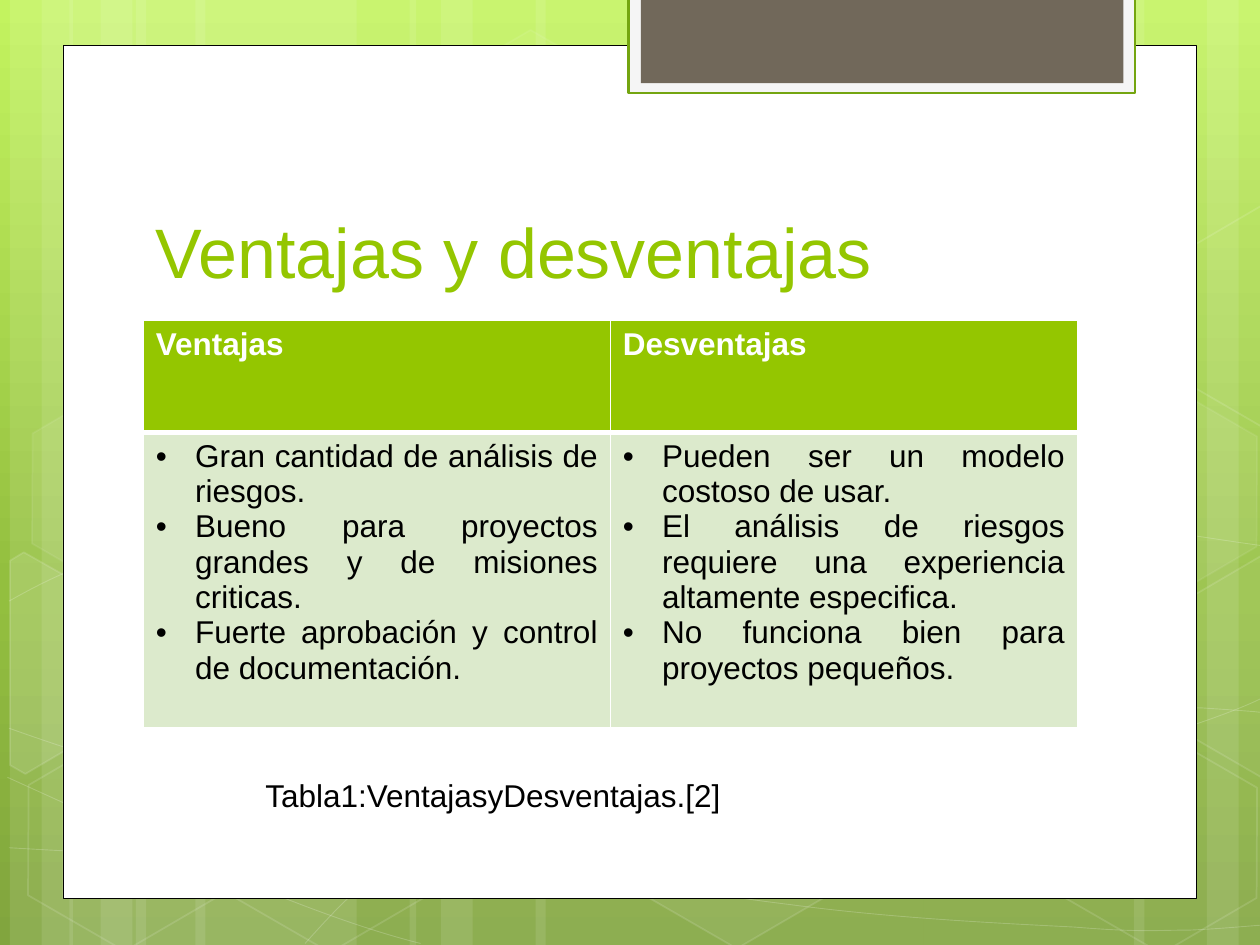
"""Build the slide with the table of advantages and disadvantages."""
from copy import deepcopy
from math import cos, radians, sin

from lxml import etree
from pptx import Presentation
from pptx import util as u
from pptx.dml.color import RGBColor
from pptx.enum import shapes, text
from pptx.oxml.ns import qn

COLORS = {"white": "FFFFFF", "black": "000000", "green": "94C600", "pale": "DCEACC",
          "edge": "74A510", "frame": "F5F5F5", "brown": "71685A"}
BACKGROUND = [(0, "C3F35F"), (0.62, "93BF3F"), (1, "81A53E")]

TITLE = "Ventajas y desventajas"
CAPTION = "Tabla1:VentajasyDesventajas.[2]"
COLUMNS = {
    "Ventajas": ["Gran cantidad de análisis de riesgos.",
                 "Bueno para proyectos grandes y de misiones criticas.",
                 "Fuerte aprobación y control de documentación."],
    "Desventajas": ["Pueden ser un modelo costoso de usar.",
                    "El análisis de riesgos requiere una experiencia altamente especifica.",
                    "No funciona bien para proyectos pequeños."],
}
ROW_HEIGHTS = [2.26, 5.95]
HEADING = {"size": u.Pt(18), "name": "Arial", "bold": True}
BODY = {"size": u.Pt(18), "name": "Arial", "bold": False}
TITLE_FONT = {"size": u.Pt(40), "name": "Arial", "bold": False}

BANDS = [(2.74, 4.45), (0.2, 1.27), (0.84, 2.11), (3.94, 4.45), (1.4, 1.27), (2.03, 2.11),
         (18.62, 4.45), (24.33, 1.27), (22.86, 2.11), (10.8, 7.82), (8.26, 1.27), (8.89, 2.11)]
CURVES = [
    [(0.18, 17.09), (1.55, 17.17), (2.92, 17.25), (4.83, 17.22), (6.73, 17.2), (9.09, 17.15),
     (11.63, 16.89), (14.17, 16.64), (17.78, 16.15), (20.12, 15.67), (22.43, 15.19),
     (24.82, 14.43), (25.58, 14)],
    [(0.18, 12.12), (0.91, 11.71), (1.65, 11.33), (3.07, 10.95), (4.52, 10.57), (6.58, 10.01),
     (8.81, 9.83), (11.07, 9.65), (13.82, 9.63), (16.61, 9.83), (19.41, 10.03),
     (24.05, 10.82), (25.58, 11.02)],
    [(0.15, 15.67), (3.23, 17.07), (6.27, 18.47), (8.48, 19.02)],
    [(0.18, 14.68), (0.97, 14.96), (1.78, 15.24), (3.25, 15.65), (4.72, 16.03), (6.93, 16.66),
     (9.07, 17.09), (11.18, 17.53), (13.84, 17.98), (15.95, 18.24), (18.06, 18.52),
     (20.32, 18.62), (21.67, 18.69), (22.99, 18.8), (23.34, 18.75), (24, 18.75),
     (24.66, 18.72), (25.12, 18.67), (25.58, 18.64)],
    [(6.15, 19.02), (6.6, 18.52), (7.06, 18.01), (7.67, 17.55), (8.28, 17.09), (9.14, 16.59),
     (9.86, 16.23), (10.57, 15.88), (11, 15.72), (11.94, 15.47), (12.85, 15.21),
     (14.55, 14.86), (15.44, 14.68), (16.36, 14.5), (16.48, 14.5), (17.27, 14.45),
     (18.06, 14.38), (19.3, 14.3), (20.17, 14.27), (21.06, 14.25), (22.5, 14.27),
     (22.5, 14.27), (23.07, 14.27), (23.64, 14.27), (24.21, 14.27), (24.66, 14.3),
     (25.1, 14.33), (25.32, 14.35), (25.55, 14.38), (25.48, 14.35), (25.55, 14.38)],
]
TILT = 30
HEXAGONS = [(8.48, 0.91, 4, 8), (12.62, 14.96, 6, 12), (0.28, 15.01, 0, 12),
            (0.36, 7.92, 7, 8), (4.42, 15.04, 0, 12), (19.13, 11.51, 10, 12),
            (21.18, 15.06, 0, 12), (21.18, 7.98, 7, 8)]
CUT_HEXAGONS = [
    ((0.91, 13.59), 10, [(0.2, 11.3), (0.48, 11.13), (2.44, 12.24), (2.41, 14.48),
                         (0.51, 15.6), (0.2, 15.42)]),
    ((25.02, 13.21), 4, [(23.52, 12.32), (25.43, 11.2), (25.63, 11.33), (25.63, 15.57),
                         (25.45, 15.67), (23.52, 14.55)]),
    ((25.02, 6.12), 0, [(23.52, 5.26), (25.43, 4.14), (25.65, 4.27), (25.63, 8.51),
                        (25.45, 8.61), (23.52, 7.49)]),
]
PANELS = [((1.27, 0.91, 22.86, 17.2), "white", "black", 0.5),
          ((12.67, -0.05, 10.21, 1.93), "frame", "edge", 1.25),
          ((12.92, -0.05, 9.73, 1.73), "brown", None, 0)]


def rgb(name):
    return RGBColor.from_string(COLORS[name])


def box(*lengths):
    return [u.Cm(n) for n in lengths]


def paint(fill, name, alpha=100):
    if not name or not alpha:
        fill.background()
        return
    fill.solid()
    fill.fore_color.rgb = rgb(name)
    if alpha < 100:
        color = fill._xPr.find(".//" + qn("a:srgbClr"))
        etree.SubElement(color, qn("a:alpha"), val=str(alpha * 1000))


def style(sp, fill, line, width=0, alpha=100, line_alpha=100):
    sp.shadow.inherit = False
    paint(sp.fill, fill, alpha)
    paint(sp.line.fill, line, line_alpha)
    if line:
        sp.line.width = u.Pt(width)


def outline(s, points, close):
    start, *rest = [box(*point) for point in points]
    builder = s.shapes.build_freeform(*start)
    builder.add_line_segments(rest, close=close)
    return builder.convert_to_shape()


def curve(s, points):
    sp = outline(s, points, False)
    segments = list(sp.element.iter(qn("a:lnTo")))
    for i in range(0, len(segments), 3):
        bezier = etree.Element(qn("a:cubicBezTo"))
        segments[i].addprevious(bezier)
        for segment in segments[i:i + 3]:
            bezier.append(segment[0])
            segment.getparent().remove(segment)
    return sp


def untilt(point, center):
    dx, dy = point[0] - center[0], point[1] - center[1]
    c, d = cos(radians(TILT)), sin(radians(TILT))
    return center[0] + dx * c + dy * d, center[1] - dx * d + dy * c


def write(tf, lines, font, color, bullet=False):
    for i, line in enumerate(lines):
        p = tf.paragraphs[0] if i == 0 else tf.add_paragraph()
        p.alignment = text.PP_ALIGN.JUSTIFY
        r = p.add_run()
        r.text = line
        r.font.color.rgb = rgb(color)
        for name, value in font.items():
            setattr(r.font, name, value)
        if bullet:
            pPr = p._p.get_or_add_pPr()
            pPr.set("marL", str(u.Cm(0.79)))
            pPr.set("indent", str(-u.Cm(0.79)))
            etree.SubElement(pPr, qn("a:buFont"), typeface="Arial")
            etree.SubElement(pPr, qn("a:buChar"), char="•")


def border(cell, widths):
    for i, (side, width) in enumerate(widths.items()):
        ln = etree.Element(qn("a:ln" + side), w=str(u.Pt(width)))
        fill = etree.SubElement(ln, qn("a:solidFill"))
        etree.SubElement(fill, qn("a:srgbClr"), val=COLORS["white"])
        cell._tc.get_or_add_tcPr().insert(i, ln)


def draw_background(s):
    fill = s.background.fill
    fill.gradient()
    fill.gradient_angle = 270
    stops = next(s.element.iter(qn("a:gsLst")))
    stops.append(deepcopy(stops[-1]))
    for stop, (position, color) in zip(fill.gradient_stops, BACKGROUND):
        stop.position = position
        stop.color.rgb = RGBColor.from_string(color)


def draw_decoration(s):
    rectangle = shapes.MSO_SHAPE.RECTANGLE
    for left, width in BANDS:
        style(s.shapes.add_shape(rectangle, *box(left, 0, width, 19.05)), "white", None, alpha=10)
    for points in CURVES:
        style(curve(s, points), None, "white", 0.5, line_alpha=20)
    for left, top, alpha, line_alpha in HEXAGONS:
        sp = s.shapes.add_shape(shapes.MSO_SHAPE.HEXAGON, *box(left, top, 4.45, 3.86))
        sp.rotation = TILT
        sp.adjustments[0] = 0.285
        style(sp, "white", "white", 1, alpha, line_alpha)
    for center, alpha, points in CUT_HEXAGONS:
        sp = outline(s, [untilt(point, center) for point in points], True)
        sp.rotation = TILT
        style(sp, "white", "white", 1, alpha, 12)
    for place, fill, line, width in PANELS:
        style(s.shapes.add_shape(rectangle, *box(*place)), fill, line, width)


def add_title(s):
    sp = s.shapes.title
    sp.element.getparent().append(sp.element)
    for name, value in zip(("left", "top", "width", "height"), box(2.89, 2.84, 19.51, 3.18)):
        setattr(sp, name, value)
    tf = sp.text_frame
    tf.vertical_anchor = text.MSO_ANCHOR.BOTTOM
    tf.auto_size = text.MSO_AUTO_SIZE.NONE
    write(tf, [TITLE], TITLE_FONT, "green")


def add_comparison(s):
    frame = s.shapes.add_table(2, len(COLUMNS), *box(2.89, 6.46, 18.83, sum(ROW_HEIGHTS)))
    table = frame.table
    for row, height in zip(table.rows, ROW_HEIGHTS):
        row.height = u.Cm(height)
    for i, (heading, points) in enumerate(COLUMNS.items()):
        head, body = table.cell(0, i), table.cell(1, i)
        paint(head.fill, "green")
        paint(body.fill, "pale")
        border(head, {"L": 1, "R": 1, "T": 1, "B": 3})
        border(body, {"L": 1, "R": 1, "T": 3, "B": 1})
        write(head.text_frame, [heading], HEADING, "white")
        write(body.text_frame, points, BODY, "black", bullet=True)


def main():
    prs = Presentation()
    prs.slide_width, prs.slide_height = box(25.4, 19.05)
    s = prs.slides.add_slide(prs.slide_layouts[5])
    draw_background(s)
    draw_decoration(s)
    add_title(s)
    add_comparison(s)
    tf = s.shapes.add_textbox(*box(5.1, 15.52, 14.81, 1.02)).text_frame
    tf.word_wrap = True
    write(tf, [CAPTION], BODY, "black")
    prs.save("out.pptx")


if __name__ == "__main__":
    main()
